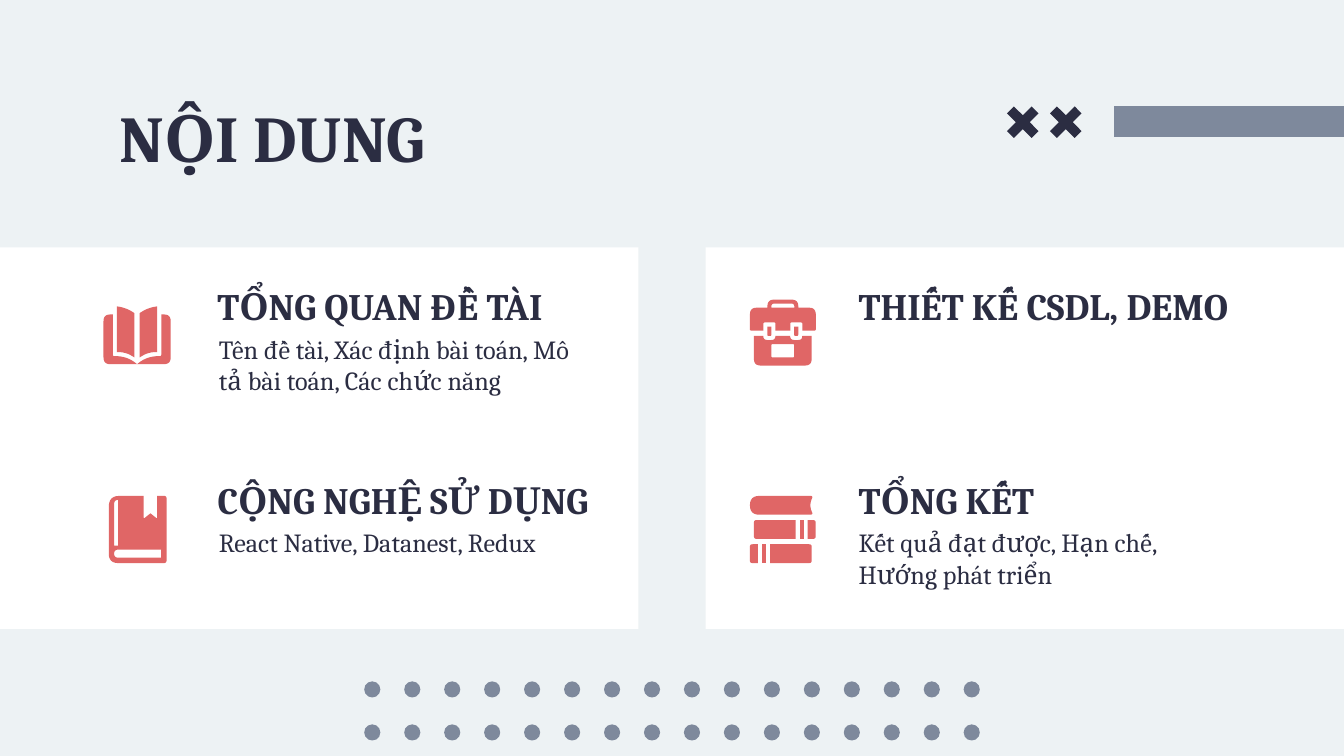
"""Build the contents slide of a Vietnamese project presentation."""
from math import dist

from pptx import Presentation
from pptx.dml.color import RGBColor
from pptx.enum import shapes, text
from pptx.util import Inches, Pt

COLORS = {"background": "EDF2F4", "panel": "FFFFFF", "slate": "7E899C",
          "ink": "2B2D42", "icon": "E06666"}
FONT = "Cambria"
RECT = shapes.MSO_SHAPE.RECTANGLE
BOOK_AXIS, RIGHT_AXIS = 1.02, 11.65 / 2


def paint(shape, color):
    shape.shadow.inherit = False
    shape.fill.solid()
    shape.fill.fore_color.rgb = RGBColor.from_string(COLORS[color])
    shape.line.fill.background()


def add_block(slide, kind, left, top, width, height, color):
    block = slide.shapes.add_shape(
        kind, Inches(left), Inches(top), Inches(width), Inches(height))
    paint(block, color)
    return block


def write(box, wording, size, bold):
    frame = box.text_frame
    frame.word_wrap = True
    frame.auto_size = text.MSO_AUTO_SIZE.NONE
    frame.vertical_anchor = text.MSO_ANCHOR.TOP
    frame.margin_left = frame.margin_right = Inches(0.1)
    frame.margin_top = frame.margin_bottom = Inches(0.1)
    paragraph = frame.paragraphs[0]
    paragraph.alignment = text.PP_ALIGN.LEFT
    run = paragraph.add_run()
    run.text = wording
    run.font.name = FONT
    run.font.size = Pt(size)
    run.font.bold = bold
    run.font.color.rgb = RGBColor.from_string(COLORS["ink"])


def add_label(slide, left, top, width, height, wording, size, bold):
    label = slide.shapes.add_textbox(
        Inches(left), Inches(top), Inches(width), Inches(height))
    write(label, wording, size, bold)


def add_title(slide, wording):
    title = slide.shapes.title
    title.left, title.top = Inches(0.79), Inches(0.62)
    title.width, title.height = Inches(4.42), Inches(0.62)
    write(title, wording, 35, True)


def mirror(corners, axis, drop=0):
    return [(2 * axis - x, y + drop, *radius) for x, y, *radius in corners]


def symmetric(half):
    return half + mirror(half, RIGHT_AXIS)[::-1]


def toward(start, end, length):
    share = length / dist(start, end)
    return tuple(a + (b - a) * share for a, b in zip(start, end))


def round_corners(corners, steps=6):
    """Return outline points, bending each corner that carries a radius."""
    points = []
    for i, (x, y, *radius) in enumerate(corners):
        corner = (x, y)
        if not radius:
            points.append(corner)
            continue
        begin = toward(corner, corners[i - 1][:2], radius[0])
        end = toward(corner, corners[(i + 1) % len(corners)][:2], radius[0])
        for step in range(steps + 1):
            t = step / steps
            points.append(tuple((1 - t) ** 2 * a + 2 * t * (1 - t) * c + t * t * b
                                for a, c, b in zip(begin, corner, end)))
    return [(Inches(x), Inches(y)) for x, y in points]


def add_outline(slide, *contours):
    first, *holes = [round_corners(contour) for contour in contours]
    builder = slide.shapes.build_freeform(*first[0])
    builder.add_line_segments(first[1:], close=True)
    for hole in holes:
        builder.move_to(*hole[0])
        builder.add_line_segments(hole[1:], close=True)
    paint(builder.convert_to_shape(), "icon")


def add_open_book(slide):
    cover = [(1.2, 2.34), (1.27, 2.34, 0.05), (1.27, 2.71, 0.05),
             (1.02, 2.71), (1.09, 2.65, 0.09), (1.2, 2.65, 0.01)]
    page = [(1.17, 2.28), (1.17, 2.62), (1.1, 2.62, 0.06),
            (1.04, 2.66), (1.04, 2.33), (1.1, 2.29, 0.06)]
    for part in (cover, page):
        add_outline(slide, part)
        add_outline(slide, mirror(part, BOOK_AXIS))


def add_bookmarked_book(slide):
    cover = [(0.81, 3.69, 0.08), (1.07, 3.69), (1.07, 3.86, 0.01),
             (1.12, 3.82), (1.17, 3.86, 0.01), (1.17, 3.69),
             (1.24, 3.69, 0.02), (1.24, 4.19, 0.02), (0.81, 4.19, 0.07)]
    spine = [(0.85, 3.72, 0.03), (0.88, 3.72), (0.88, 4.06), (0.85, 4.06)]
    pages = [(0.85, 4.09, 0.03), (1.2, 4.09), (1.2, 4.15), (0.85, 4.15, 0.03)]
    add_outline(slide, cover, spine, pages)


def add_briefcase(slide):
    strap = [(5.91, 2.43), (5.94, 2.43), (5.94, 2.5, 0.01), (5.91, 2.5, 0.01)]
    body = [(5.88, 2.5), (5.88, 2.53, 0.03), (5.97, 2.53, 0.03),
            (5.97, 2.5), (6.04, 2.5), (6.04, 2.72, 0.05)]
    plate = [(5.91, 2.56, 0.01), (5.91, 2.66, 0.01)]
    lid = [(5.94, 2.23, 0.05), (5.94, 2.29), (6.07, 2.29, 0.05),
           (6.07, 2.46, 0.01), (5.97, 2.46), (5.97, 2.4, 0.01),
           (5.88, 2.4, 0.01), (5.88, 2.46)]
    handle = [(5.91, 2.26, 0.02), (5.91, 2.29)]
    add_outline(slide, strap)
    add_outline(slide, mirror(strap, RIGHT_AXIS))
    add_outline(slide, symmetric(body), symmetric(plate))
    add_outline(slide, symmetric(lid), symmetric(handle))


def add_book_stack(slide):
    top_book = [(5.58, 3.69, 0.07), (6.05, 3.69, 0.02), (6.02, 3.76, 0.05),
                (6.05, 3.83, 0.02), (5.58, 3.83, 0.07)]
    cover = [(5.61, 3.87, 0.02), (5.92, 3.87), (5.92, 4.01), (5.61, 4.01, 0.02)]
    band = [(5.95, 3.87), (5.98, 3.87), (5.98, 4.01), (5.95, 4.01)]
    end = [(6.01, 3.87), (6.07, 3.87, 0.02), (6.07, 4.01, 0.02), (6.01, 4.01)]
    add_outline(slide, top_book)
    for part in (cover, band, end):
        add_outline(slide, part)
        add_outline(slide, mirror(part, RIGHT_AXIS, 0.18))


def add_decor(slide):
    for left in (5.25, 0):
        add_block(slide, RECT, left, 1.84, 4.75, 2.84, "panel")
    for top in (5.07, 5.39):
        for column in range(16):
            add_block(slide, shapes.MSO_SHAPE.OVAL, 2.71 + column * 4.46 / 15,
                      top, 0.12, 0.12, "slate")
    add_block(slide, RECT, 8.29, 0.79, 1.71, 0.23, "slate")
    for left in (7.48, 7.8):
        cross = add_block(slide, shapes.MSO_SHAPE.CROSS, left, 0.78, 0.26, 0.26, "ink")
        cross.adjustments[0] = 0.36
        cross.rotation = 45


def main():
    deck = Presentation()
    deck.slide_width = Inches(10)
    deck.slide_height = deck.slide_width * 9 // 16
    slide = deck.slides.add_slide(deck.slide_layouts[5])
    slide.background.fill.solid()
    slide.background.fill.fore_color.rgb = RGBColor.from_string(COLORS["background"])
    add_decor(slide)
    add_title(slide, "NỘI DUNG")
    sections = [
        (1.52, 2.01, 2.77, "TỔNG QUAN ĐỀ TÀI", 1.53,
         "Tên đề tài, Xác định bài toán, Mô tả bài toán, Các chức năng"),
        (1.52, 3.45, 2.98, "CỘNG NGHỆ SỬ DỤNG", 1.53,
         "React Native, Datanest, Redux"),
        (6.29, 2.01, 3.09, "THIẾT KẾ CSDL, DEMO", 6.29, None),
        (6.29, 3.45, 2.62, "TỔNG KẾT", 6.29,
         "Kết quả đạt được, Hạn chế, Hướng phát triển"),
    ]
    for left, top, width, heading, details_left, details in sections:
        add_label(slide, left, top, width, 0.49, heading, 20, True)
        if details:
            add_label(slide, details_left, top + 0.37, 2.98, 0.63, details, 14, False)
    add_bookmarked_book(slide)
    add_open_book(slide)
    add_book_stack(slide)
    add_briefcase(slide)
    deck.save("out.pptx")


if __name__ == "__main__":
    main()
